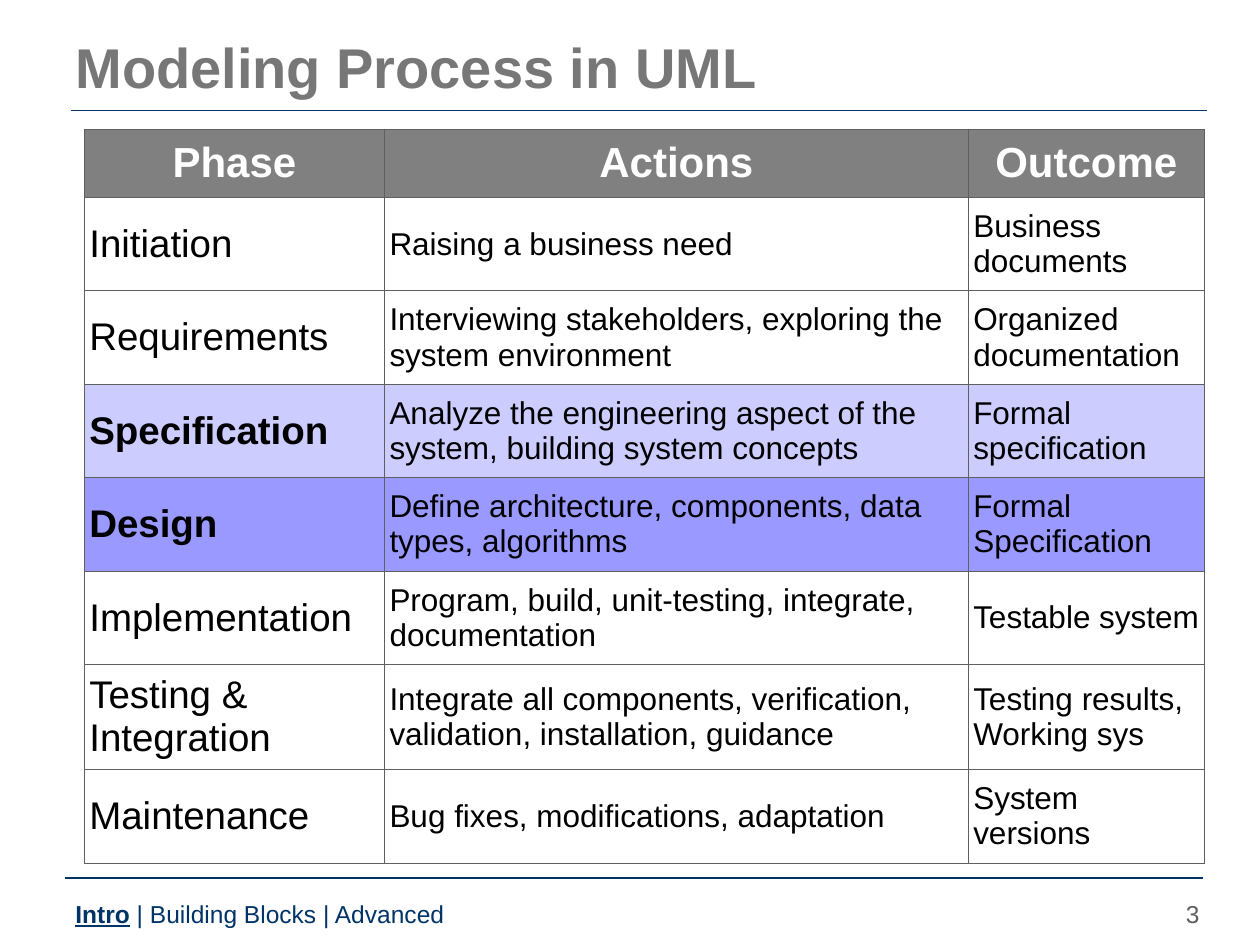
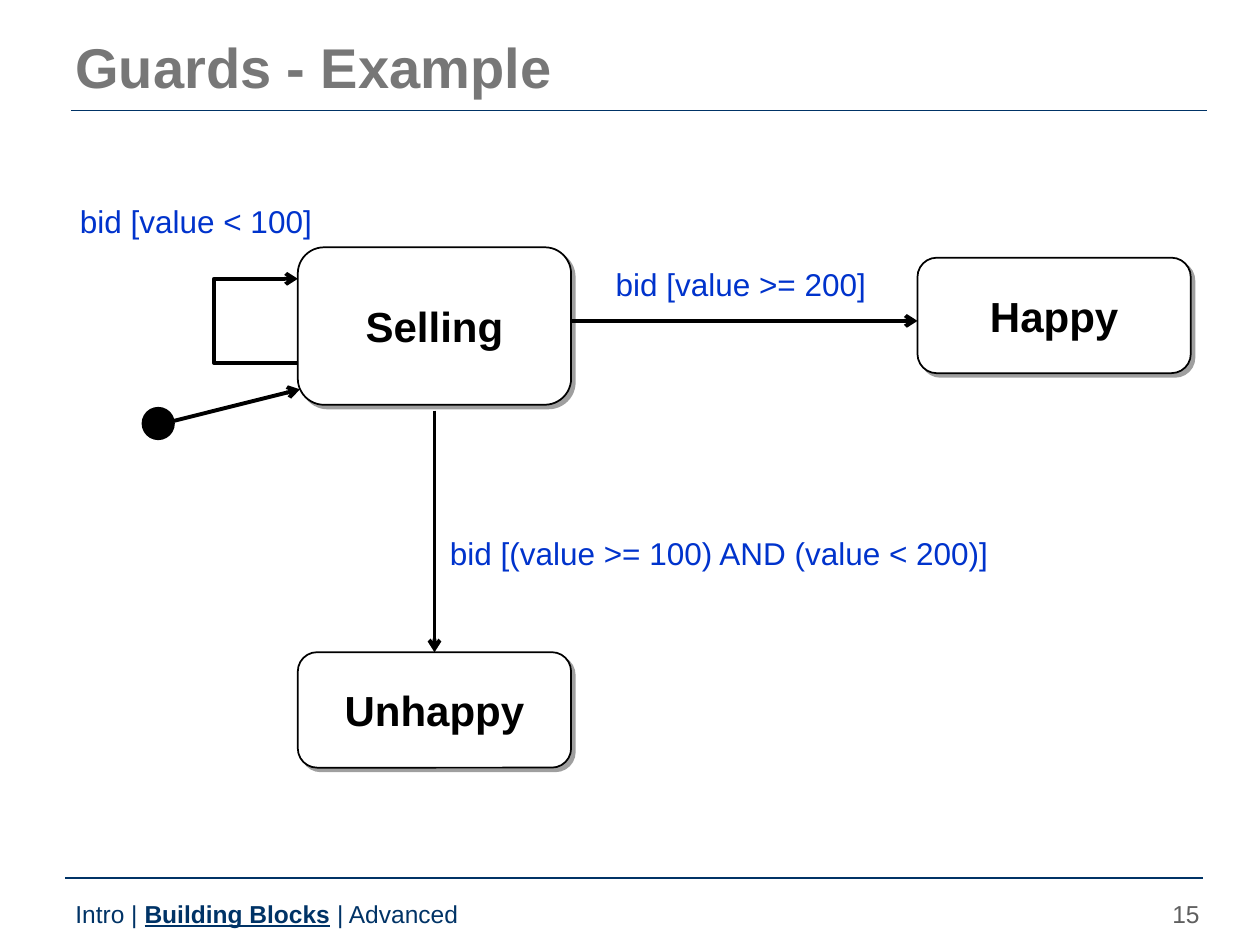
from lxml import etree
from pptx import Presentation
from pptx.dml.color import RGBColor
from pptx.enum import shapes, text
from pptx.oxml.ns import qn
from pptx.util import Pt

NAVY = RGBColor(0x00, 0x33, 0x66)
TITLE_GRAY = RGBColor(0x77, 0x77, 0x77)
DARK_GRAY = RGBColor(0x5F, 0x5F, 0x5F)
HEADER_GRAY = RGBColor(0x80, 0x80, 0x80)
GUARD_BLUE = RGBColor(0x00, 0x33, 0xCC)
LAVENDER = RGBColor(0xCC, 0xCC, 0xFF)
VIOLET = RGBColor(0x99, 0x99, 0xFF)
BLACK = RGBColor(0, 0, 0)
WHITE = RGBColor(255, 255, 255)

SECTIONS = ["Intro", "Building Blocks", "Advanced"]
RULES = [(40.5, 63.2, 690), (37.3, 501.8, 687.5)]  # left, y, right

HEADINGS = ["Phase", "Actions", "Outcome"]
PHASES = [
    ("Initiation", "Raising a business need", "Business documents"),
    ("Requirements",
     "Interviewing stakeholders, exploring the system environment",
     "Organized documentation"),
    ("Specification",
     "Analyze the engineering aspect of the system, building system concepts",
     "Formal specification"),
    ("Design", "Define architecture, components, data types, algorithms",
     "Formal Specification"),
    ("Implementation",
     "Program, build, unit-testing, integrate, documentation",
     "Testable system"),
    ("Testing & Integration",
     "Integrate all components, verification, validation, installation, guidance",
     "Testing results, Working sys"),
    ("Maintenance", "Bug fixes, modifications, adaptation", "System versions"),
]
HIGHLIGHTS = {"Specification": LAVENDER, "Design": VIOLET}
COLUMN_WIDTHS = [171.5, 333.6, 135]
HEADER_HEIGHT, PHASE_HEIGHT, TALL_HEIGHT = 38.9, 53.4, 58.3
TALL_PHASE = "Testing & Integration"

STATES = {  # left, top, width, height
    "Selling": (170.2, 141.3, 156.2, 90),
    "Unhappy": (170.2, 372.7, 156.2, 66),
    "Happy": (524.3, 147.3, 156.2, 66),
}
GUARDS = [  # wording, left, top, width
    ("bid [value < 100]", 38.6, 111.6, 152),
    ("bid [value >= 200]", 344.7, 147.6, 164),
    ("bid [(value >= 100) AND (value < 200)]", 250, 301.7, 328),
]
SELF_LOOP = [(170.2, 207.3), (122.2, 207.3), (122.2, 159.3), (170.2, 159.3)]
START_DOT = (81.4, 233, 18)  # left, top, diameter


def write(frame, runs, size=18, color=BLACK, bold=False, align="LEFT",
          anchor="MIDDLE", before=0):
    """Fill a frame or cell's first paragraph; runs is a string or (string, emphasised) pairs."""
    frame.vertical_anchor = getattr(text.MSO_ANCHOR, anchor)
    frame.word_wrap = True
    body = getattr(frame, "text_frame", frame)
    paragraph = body.paragraphs[0]
    paragraph.alignment = getattr(text.PP_ALIGN, align)
    paragraph.space_before = Pt(before)
    for words, emphasised in [(runs, False)] if isinstance(runs, str) else runs:
        run = paragraph.add_run()
        run.text = words
        font = run.font
        font.name, font.size, font.color.rgb = "Arial", Pt(size), color
        font.bold = bold or emphasised
        font.underline = emphasised


def add_label(slide, runs, left, top, width, height, **style):
    box = slide.shapes.add_textbox(Pt(left), Pt(top), Pt(width), Pt(height))
    write(box.text_frame, runs, **style)


def style_line(shape, color, width, arrow=False):
    shape.line.color.rgb = color
    shape.line.width = Pt(width)
    if arrow:
        etree.SubElement(shape.line._get_or_add_ln(), qn("a:tailEnd"), type="arrow")


def add_line(slide, start, end, color=BLACK, width=2.25, arrow=True):
    line = slide.shapes.add_connector(
        shapes.MSO_CONNECTOR.STRAIGHT, *(Pt(v) for v in start + end))
    style_line(line, color, width, arrow)
    etree.SubElement(line._element.spPr, qn("a:effectLst"))
    return line


def add_outlined(slide, kind, box, fill):
    shape = slide.shapes.add_shape(kind, *(Pt(v) for v in box))
    shape.shadow.inherit = False
    shape.fill.solid()
    shape.fill.fore_color.rgb = fill
    style_line(shape, BLACK, 1)
    return shape


def add_state(slide, name):
    state = add_outlined(slide, shapes.MSO_SHAPE.ROUNDED_RECTANGLE,
                         STATES[name], WHITE)
    effects = state._element.spPr.find(qn("a:effectLst"))
    shadow = etree.SubElement(effects, qn("a:outerShdw"), blurRad="0",
                              dist=str(Pt(3)), dir="2700000", algn="ctr",
                              rotWithShape="0")
    tint = etree.SubElement(shadow, qn("a:srgbClr"), val=str(HEADER_GRAY))
    etree.SubElement(tint, qn("a:alpha"), val="75000")
    write(state.text_frame, name, size=24, bold=True, align="CENTER")
    return state


def start_slide(deck, title, section, number):
    slide = deck.slides.add_slide(deck.slide_layouts[6])
    for left, y, right in RULES:
        add_line(slide, (left, y), (right, y), NAVY, 1, arrow=False)
    add_label(slide, title, 36, 13.7, 648, 48, size=32, color=TITLE_GRAY, bold=True)
    trail = []
    for name in SECTIONS:
        if trail:
            trail.append((" | ", False))
        trail.append((name, name == section))
    add_label(slide, trail, 36, 510, 462, 18, size=14, color=NAVY, anchor="TOP")
    add_label(slide, str(number), 656.6, 510, 36, 18, size=14, color=DARK_GRAY,
              align="RIGHT", anchor="TOP")
    return slide


def format_cell(cell, fill):
    cell.margin_left = cell.margin_right = Pt(2.9)
    cell.margin_top = cell.margin_bottom = Pt(3.6)
    cell.fill.solid()
    cell.fill.fore_color.rgb = fill
    properties = cell._tc.get_or_add_tcPr()
    for place, side in enumerate("LRTB"):
        border = etree.Element(qn(f"a:ln{side}"), w=str(Pt(0.45)))
        paint = etree.SubElement(border, qn("a:solidFill"))
        etree.SubElement(paint, qn("a:srgbClr"), val=str(DARK_GRAY))
        properties.insert(place, border)


def build_process(deck):
    slide = start_slide(deck, "Modeling Process in UML", "Intro", 3)
    heights = [HEADER_HEIGHT] + [
        TALL_HEIGHT if phase[0] == TALL_PHASE else PHASE_HEIGHT for phase in PHASES]
    process = slide.shapes.add_table(
        len(heights), len(HEADINGS), Pt(48.2), Pt(73.9),
        Pt(sum(COLUMN_WIDTHS)), Pt(sum(heights))).table
    process.horz_banding = process.first_row = False
    for column, width in zip(process.columns, COLUMN_WIDTHS):
        column.width = Pt(width)
    for row, height in zip(process.rows, heights):
        row.height = Pt(height)

    for column, heading in enumerate(HEADINGS):
        cell = process.cell(0, column)
        format_cell(cell, HEADER_GRAY)
        write(cell, heading, size=24, color=WHITE, bold=True, align="CENTER", before=6)
    for row, phase in enumerate(PHASES, 1):
        for column, words in enumerate(phase):
            cell = process.cell(row, column)
            format_cell(cell, HIGHLIGHTS.get(phase[0], WHITE))
            size = 18 if column else 22
            write(cell, words, size=size, before=size / 4,
                  bold=words in HIGHLIGHTS)


def build_guards(deck):
    slide = start_slide(deck, "Guards - Example", "Building Blocks", 15)
    states = {name: add_state(slide, name) for name in STATES}
    for words, left, top, width in GUARDS:
        add_label(slide, words, left, top, width, 29, color=GUARD_BLUE)

    left, top, width, _ = STATES["Unhappy"]
    middle = left + width / 2
    to_unhappy = add_line(slide, (middle, 234.7), (middle, top))
    to_unhappy.end_connect(states["Unhappy"], 0)
    add_line(slide, (left + width, 183.4), (STATES["Happy"][0], 183.4))

    corners = [(Pt(x), Pt(y)) for x, y in SELF_LOOP]
    builder = slide.shapes.build_freeform(*corners[0])
    builder.add_line_segments(corners[1:], close=False)
    loop = builder.convert_to_shape()
    loop.shadow.inherit = False
    loop.fill.background()
    style_line(loop, BLACK, 2.25, arrow=True)

    dot_left, dot_top, diameter = START_DOT
    add_outlined(slide, shapes.MSO_SHAPE.OVAL,
                 (dot_left, dot_top, diameter, diameter), BLACK)
    add_line(slide, (dot_left + diameter, 240.5), (171.4, 222.5))


def main():
    deck = Presentation()
    deck.slide_width, deck.slide_height = Pt(720), Pt(540)
    build_process(deck)
    build_guards(deck)
    deck.save("out.pptx")


if __name__ == "__main__":
    main()
